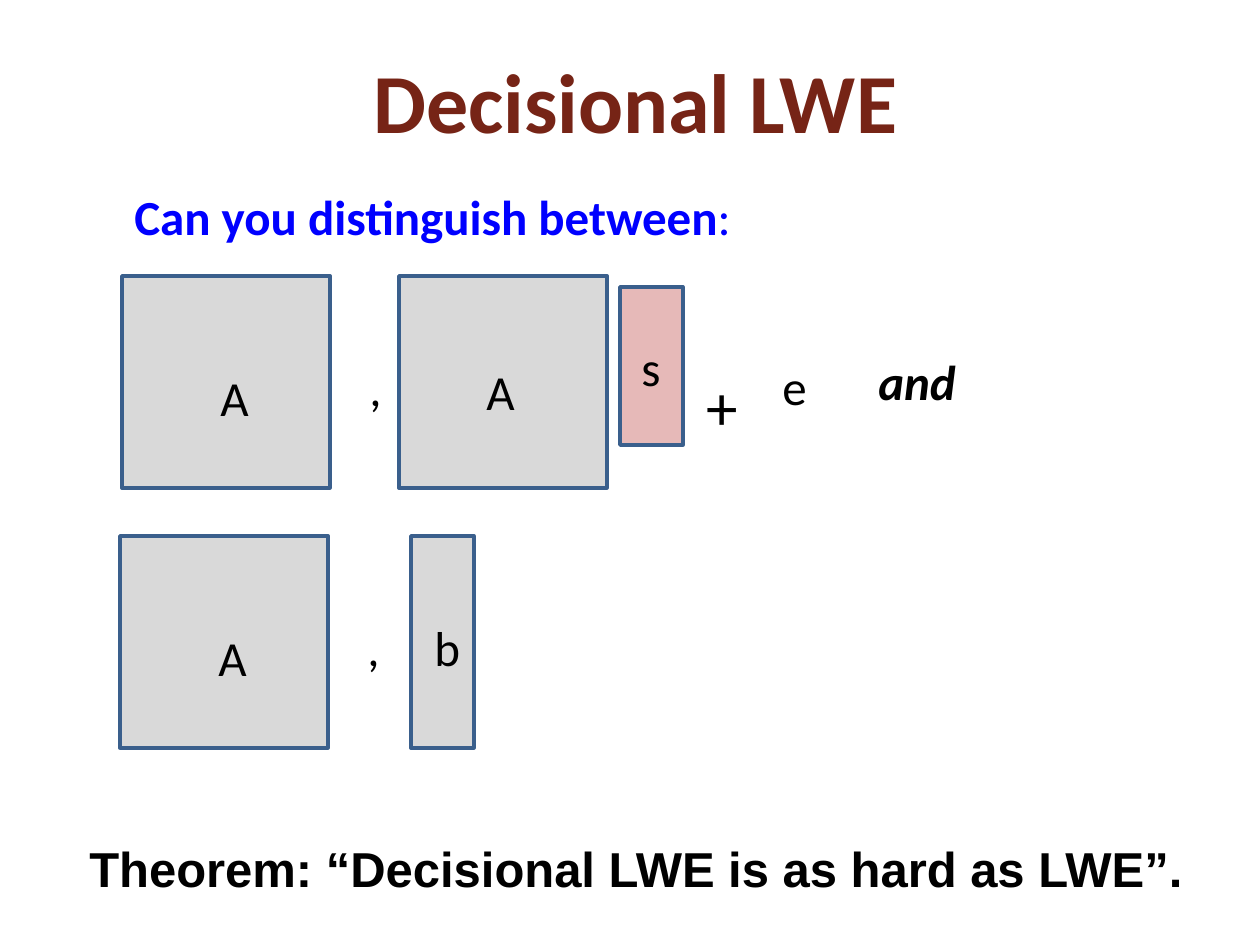
from pptx import Presentation
from pptx import util as u
from pptx.dml.color import RGBColor
from pptx.enum import shapes, text

THEME = {
    "title": RGBColor(0x76, 0x24, 0x16),
    "question": RGBColor(0x00, 0x00, 0xFF),
    "ink": RGBColor(0x00, 0x00, 0x00),
    "public": RGBColor(0xD9, 0xD9, 0xD9),
    "secret": RGBColor(0xE6, 0xB9, 0xB8),
    "outline": RGBColor(0x3A, 0x5F, 0x8C),
    "title_size": 48, "plus_size": 36, "body_size": 28,
    "font": "Calibri", "theorem_font": "Arial",
}
PX = 914400 / 126
LINE_H = 82
MATRIX_W, MATRIX_H, VECTOR_W = 208, 212, 63


def add_box(parent, x, y, w, h, fill):
    sp = parent.add_shape(shapes.MSO_SHAPE.RECTANGLE,
                          *(u.Emu(round(v * PX)) for v in (x, y, w, h)))
    sp.shadow.inherit = False
    sp.fill.solid()
    sp.fill.fore_color.rgb = THEME[fill]
    sp.line.color.rgb = THEME["outline"]
    sp.line.width = u.Pt(2)


def add_label(parent, words, x, y, w, h=LINE_H, size="body_size",
              color="ink", font="font", bold=False):
    sp = parent.add_textbox(*(u.Emu(round(v * PX)) for v in (x, y, w, h)))
    tf = sp.text_frame
    tf.word_wrap = True
    tf.vertical_anchor = text.MSO_ANCHOR.MIDDLE
    p = tf.paragraphs[0]
    p.add_run().text = words
    p.font.name = THEME[font]
    p.font.size = u.Pt(THEME[size])
    p.font.color.rgb = THEME[color]
    p.font.bold = bold
    return p


prs = Presentation()
prs.slide_width, prs.slide_height = u.Inches(10), u.Inches(7.5)
s = prs.slides.add_slide(prs.slide_layouts[6])

# Title, theorem and question
p = add_label(s.shapes, "Decisional LWE", 42, 21, 1187, 157,
              size="title_size", color="title", bold=True)
p.alignment = text.PP_ALIGN.CENTER
add_label(s.shapes, "Theorem: “Decisional LWE is as hard as LWE”.",
          77, 827, 1149, font="theorem_font", bold=True)
p = add_label(s.shapes, "Can you distinguish between", 122, 175, 945,
              color="question", bold=True)
r = p.add_run()
r.text = ":"
r.font.bold = False

# Each row opens with the matrix A and a comma
rows = []
for x, y in ((122, 276), (120, 536)):
    row = s.shapes.add_group_shape().shapes
    add_box(row, x, y, MATRIX_W, MATRIX_H, "public")
    add_label(row, ",", x + 235, y + 70, 112)
    add_label(row, "A", x + 86, y + 80, 59)
    rows.append(row)
lwe, uniform = rows

# LWE sample: A s + e
add_box(lwe, 399, 276, MATRIX_W, MATRIX_H, "public")
add_label(lwe, "A", 474, 350, 59)
add_box(lwe, 620, 287, VECTOR_W, 158, "secret")
add_label(lwe, "s", 629, 326, 59)
add_label(lwe, "+", 694, 364, 112, size="plus_size")
add_label(lwe, "e", 770, 345, 59)

# Uniform sample: b
add_box(uniform, 411, 536, VECTOR_W, MATRIX_H, "public")
add_label(uniform, "b", 422, 606, 59)

# Link between the two samples
p = add_label(s.shapes, "and", 866, 340, 110, bold=True)
p.font.italic = True

prs.save("out.pptx")
